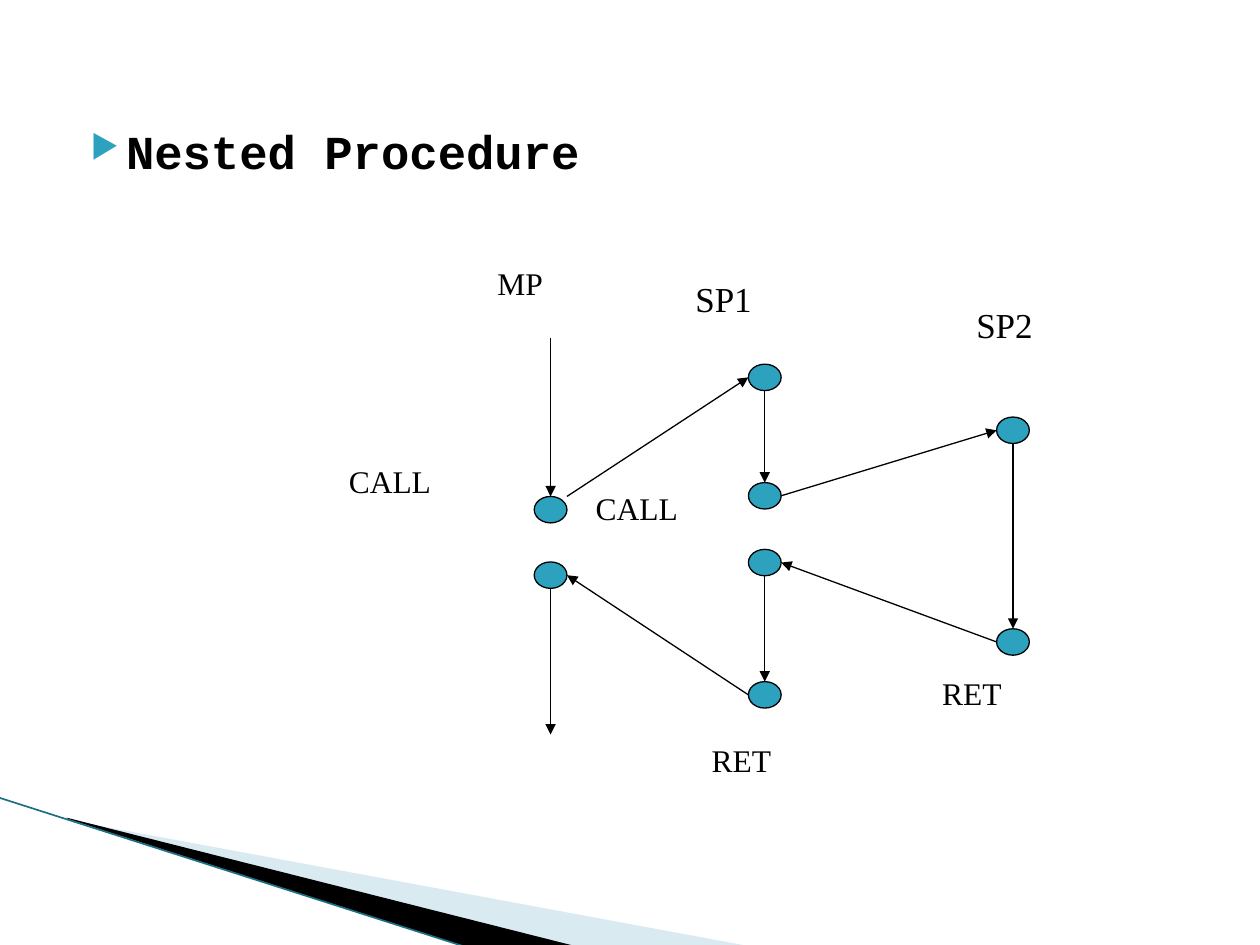
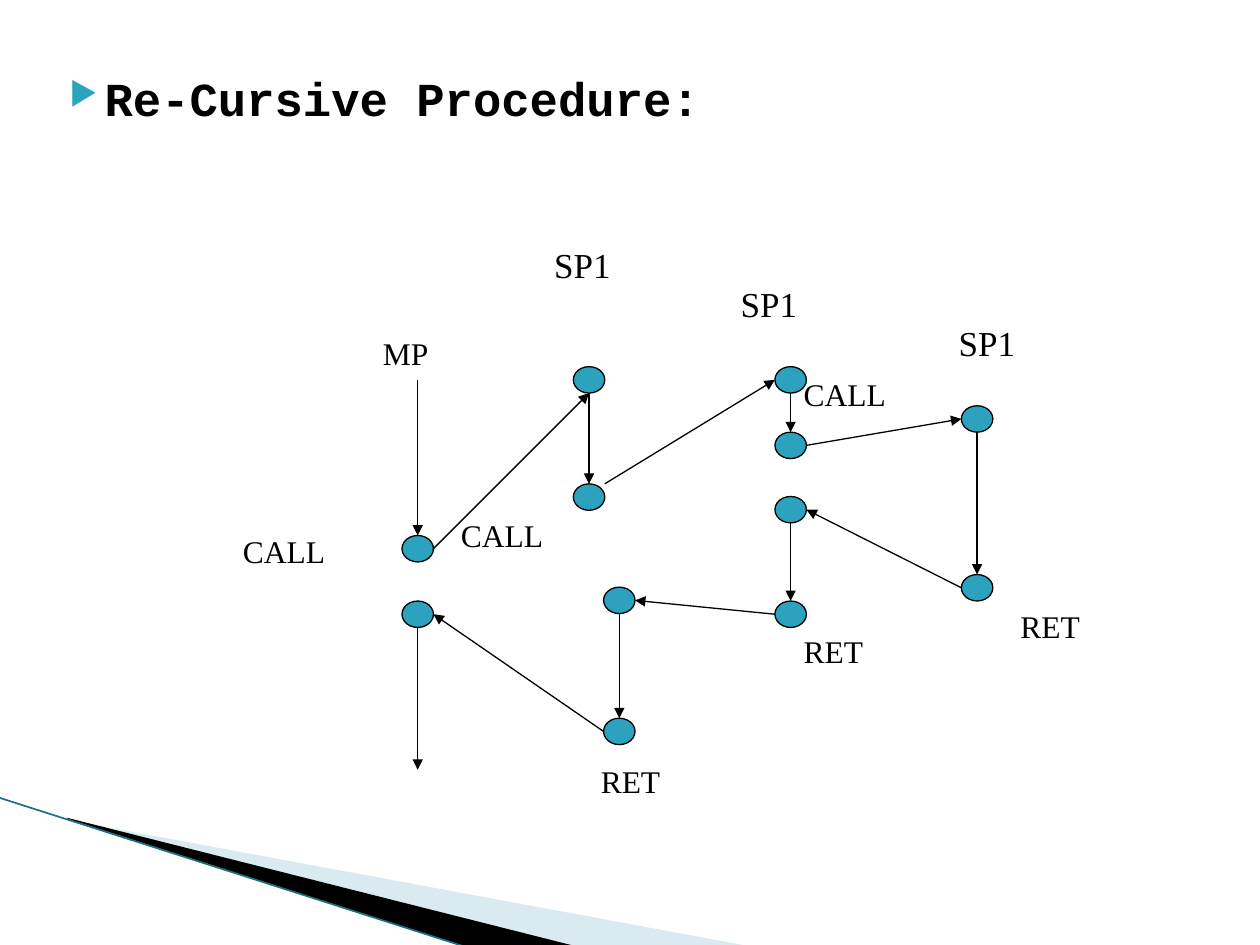
from dataclasses import dataclass

from lxml.etree import SubElement
from pptx import Presentation
from pptx.dml.color import RGBColor
from pptx.enum.shapes import MSO_CONNECTOR, MSO_SHAPE
from pptx.enum.text import MSO_ANCHOR, MSO_AUTO_SIZE, PP_ALIGN
from pptx.oxml.ns import qn
from pptx.util import Inches, Pt

BLACK = RGBColor(0x00, 0x00, 0x00)
TEAL = RGBColor(0x2D, 0xA2, 0xBF)
DARK_TEAL = RGBColor(0x1C, 0x70, 0x85)
PALE_BLUE = RGBColor(0xA0, 0xCB, 0xDC)

HEADING_FONT = "Courier New"
LABEL_FONT = "Times New Roman"
TITLE_ONLY = 5

TOP, LEFT, BOTTOM, RIGHT = (0.5, 0), (0, 0.5), (0.5, 1), (1, 0.5)
TOP_RIGHT = (1, 0)

PALE_BAND = [(0.55, 6.51), (5.95, 7.51), (4.56, 7.51), (0.55, 6.5)]
BLACK_BAND = [(0.53, 6.49), (4.57, 7.51), (3.72, 7.52), (0.54, 6.5)]
EDGE = [(-0.01, 6.33), (3.71, 7.52)]


@dataclass
class CallDiagram:
    heading: str
    heading_at: tuple
    step_size: tuple
    main_start: float
    main_end: float
    steps: dict
    runs: list
    jumps: list
    labels: list


NESTED = CallDiagram(
    heading="Nested Procedure",
    heading_at=(0.5, 0.92),
    step_size=(0.26, 0.21),
    main_start=2.68,
    main_end=5.83,
    steps={
        "main call": (4.24, 3.94),
        "main resume": (4.24, 4.46),
        "sp1 entry": (5.94, 2.89),
        "sp1 call": (5.94, 3.83),
        "sp1 resume": (5.94, 4.36),
        "sp1 ret": (5.94, 5.41),
        "sp2 entry": (7.91, 3.31),
        "sp2 ret": (7.91, 4.99),
    },
    runs=[
        ("sp1 entry", "sp1 call"),
        ("sp2 entry", "sp2 ret"),
        ("sp1 resume", "sp1 ret"),
    ],
    jumps=[
        ("main call", TOP_RIGHT, "sp1 entry", LEFT),
        ("sp1 call", RIGHT, "sp2 entry", LEFT),
        ("sp2 ret", LEFT, "sp1 resume", RIGHT),
        ("sp1 ret", LEFT, "main resume", RIGHT),
    ],
    labels=[
        ("MP", 3.85, 2.05, 18),
        ("SP1", 5.42, 2.15, 20),
        ("SP2", 7.65, 2.36, 20),
        ("CALL", 2.67, 3.62, 18),
        ("CALL", 4.63, 3.83, 18),
        ("RET", 5.55, 5.83, 18),
        ("RET", 7.38, 5.3, 18),
    ],
)

RECURSIVE = CallDiagram(
    heading="Re-Cursive Procedure:",
    heading_at=(0.33, 0.5),
    step_size=(0.25, 0.21),
    main_start=3.02,
    main_end=6.11,
    steps={
        "main call": (3.19, 4.25),
        "main resume": (3.19, 4.77),
        "first entry": (4.55, 2.91),
        "first call": (4.55, 3.84),
        "first resume": (4.79, 4.66),
        "first ret": (4.79, 5.7),
        "second entry": (6.15, 2.91),
        "second call": (6.15, 3.43),
        "second resume": (6.15, 3.94),
        "second ret": (6.15, 4.77),
        "third entry": (7.63, 3.22),
        "third ret": (7.63, 4.56),
    },
    runs=[
        ("first entry", "first call"),
        ("second entry", "second call"),
        ("third entry", "third ret"),
        ("second resume", "second ret"),
        ("first resume", "first ret"),
    ],
    jumps=[
        ("main call", RIGHT, "first entry", BOTTOM),
        ("first call", TOP_RIGHT, "second entry", LEFT),
        ("second call", RIGHT, "third entry", LEFT),
        ("third ret", LEFT, "second resume", RIGHT),
        ("second ret", LEFT, "first resume", RIGHT),
        ("first ret", LEFT, "main resume", RIGHT),
    ],
    labels=[
        ("MP", 2.94, 2.6, 18),
        ("SP1", 4.3, 1.88, 20),
        ("SP1", 5.78, 2.19, 20),
        ("SP1", 7.51, 2.5, 20),
        ("CALL", 1.83, 4.17, 18),
        ("CALL", 3.56, 4.05, 18),
        ("CALL", 6.28, 2.93, 18),
        ("RET", 4.67, 6, 18),
        ("RET", 6.28, 4.97, 18),
        ("RET", 8, 4.77, 18),
    ],
)


def add_run(paragraph, text, font_name, size, bold=False):
    run = paragraph.add_run()
    run.text = text
    run.font.name = font_name
    run.font.size = Pt(size)
    run.font.bold = bold
    run.font.color.rgb = BLACK


def add_band(slide, corners, color, opacity=None):
    points = [(Inches(x), Inches(y)) for x, y in corners]
    builder = slide.shapes.build_freeform(*points[0])
    builder.add_line_segments(points[1:], close=True)
    band = builder.convert_to_shape()
    band.shadow.inherit = False
    band.line.fill.background()
    band.fill.solid()
    band.fill.fore_color.rgb = color
    if opacity is not None:
        fill_color = band.fill._xPr.find(qn("a:solidFill"))[0]
        SubElement(fill_color, qn("a:alpha"), val=str(opacity * 1000))


def add_line(slide, start, end, color=BLACK, width=0.75, arrow=True):
    line = slide.shapes.add_connector(
        MSO_CONNECTOR.STRAIGHT, *(Inches(n) for n in (*start, *end)))
    line.line.color.rgb = color
    line.line.width = Pt(width)
    if arrow:
        SubElement(line.line._get_or_add_ln(), qn("a:tailEnd"), type="triangle")
    SubElement(line._element.spPr, qn("a:effectLst"))


def add_corner_bands(slide):
    add_band(slide, PALE_BAND, PALE_BLUE, opacity=40)
    add_band(slide, BLACK_BAND, BLACK)
    add_line(slide, *EDGE, color=DARK_TEAL, width=0.95, arrow=False)


def set_bullet(paragraph):
    props = paragraph._p.get_or_add_pPr()
    props.set("marL", str(Inches(0.4)))
    props.set("indent", str(Inches(-0.28)))
    color = SubElement(props, qn("a:buClr"))
    SubElement(color, qn("a:srgbClr"), val=str(TEAL))
    SubElement(props, qn("a:buSzPct"), val="68000")
    SubElement(props, qn("a:buChar"), char="▶")


def set_heading(slide, text, at):
    heading = slide.shapes.title
    heading.left, heading.top = (Inches(n) for n in at)
    heading.width, heading.height = Inches(9), Inches(0.6)
    frame = heading.text_frame
    frame.auto_size = MSO_AUTO_SIZE.NONE
    frame.vertical_anchor = MSO_ANCHOR.TOP
    paragraph = frame.paragraphs[0]
    paragraph.alignment = PP_ALIGN.LEFT
    paragraph.space_before = Pt(4)
    set_bullet(paragraph)
    add_run(paragraph, text, HEADING_FONT, 27, bold=True)


def add_step(slide, at, size):
    step = slide.shapes.add_shape(
        MSO_SHAPE.OVAL, *(Inches(n) for n in (*at, *size)))
    step.shadow.inherit = False
    step.fill.solid()
    step.fill.fore_color.rgb = TEAL
    step.line.color.rgb = BLACK
    step.line.width = Pt(0.75)


def add_label(slide, text, left, top, size):
    label = slide.shapes.add_textbox(
        Inches(left), Inches(top), Inches(1), Inches(0.5))
    label.text_frame.word_wrap = True
    add_run(label.text_frame.paragraphs[0], text, LABEL_FONT, size)


def draw_diagram(slide, diagram):
    width, height = diagram.step_size

    def point(step, side):
        left, top = diagram.steps[step]
        return left + side[0] * width, top + side[1] * height

    for at in diagram.steps.values():
        add_step(slide, at, diagram.step_size)
    for first, last in diagram.runs:
        add_line(slide, point(first, BOTTOM), point(last, TOP))
    for source, exit_side, target, entry_side in diagram.jumps:
        add_line(slide, point(source, exit_side), point(target, entry_side))

    call_point = point("main call", TOP)
    resume_point = point("main resume", BOTTOM)
    add_line(slide, (call_point[0], diagram.main_start), call_point)
    add_line(slide, resume_point, (resume_point[0], diagram.main_end))

    for label in diagram.labels:
        add_label(slide, *label)


def main():
    deck = Presentation()
    deck.slide_width, deck.slide_height = Inches(10), Inches(7.5)
    for diagram in (NESTED, RECURSIVE):
        slide = deck.slides.add_slide(deck.slide_layouts[TITLE_ONLY])
        add_corner_bands(slide)
        set_heading(slide, diagram.heading, diagram.heading_at)
        draw_diagram(slide, diagram)
    deck.save("out.pptx")


if __name__ == "__main__":
    main()
